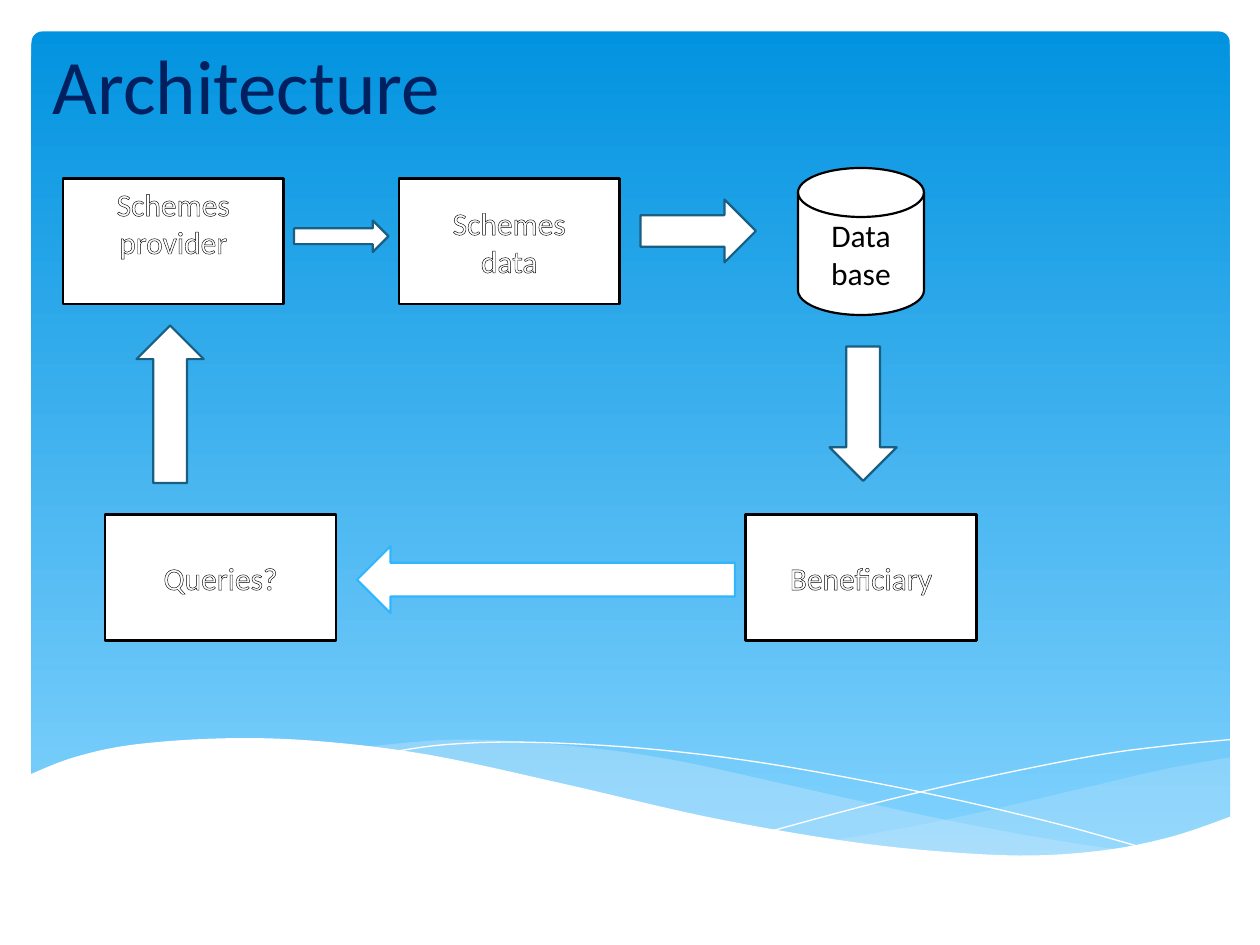
from lxml import etree
from pptx import Presentation
from pptx.dml.color import RGBColor
from pptx.enum.shapes import MSO_SHAPE
from pptx.enum.text import MSO_ANCHOR, PP_ALIGN
from pptx.oxml.ns import qn
from pptx.util import Inches, Pt

RECT, DISK = MSO_SHAPE.RECTANGLE, MSO_SHAPE.FLOWCHART_MAGNETIC_DISK
PANEL = MSO_SHAPE.ROUNDED_RECTANGLE
RIGHT, LEFT = MSO_SHAPE.RIGHT_ARROW, MSO_SHAPE.LEFT_ARROW
UP, DOWN = MSO_SHAPE.UP_ARROW, MSO_SHAPE.DOWN_ARROW
MIDDLE, BOTTOM = MSO_ANCHOR.MIDDLE, MSO_ANCHOR.BOTTOM
CENTER = PP_ALIGN.CENTER

WHITE = RGBColor(0xFF, 0xFF, 0xFF)
BLACK = RGBColor(0, 0, 0)
NAVY = RGBColor(0x00, 0x20, 0x60)
SKY_TOP = RGBColor(0x02, 0x93, 0xE0)
SKY_BOTTOM = RGBColor(0x83, 0xD3, 0xFE)
MIST = RGBColor(0xC6, 0xE7, 0xFC)
TEAL = RGBColor(0x19, 0x5F, 0x84)
AQUA = RGBColor(0x31, 0xB6, 0xFD)

WIDTH, HEIGHT = 10, 7.5
CELL = 1 / 12  # the diagram grid: twelve cells to the inch

# Key points of the wave edges, in inches from the backdrop's corner
WHITE_EDGE = [(0.23, 6.15), (0.59, 6.01), (1.06, 5.91), (1.77, 5.86), (2.5, 5.88),
              (3.4, 5.99), (4.47, 6.22), (5.55, 6.47), (6.48, 6.64), (7.26, 6.74),
              (8.09, 6.79), (8.75, 6.75), (9.3, 6.64), (9.77, 6.48)]
RIGHT_TOP = [(6.62, 6.67), (7.54, 6.5), (8.62, 6.25), (9.22, 6.11), (9.77, 6.01)]
RIGHT_BOTTOM = [(9.77, 6.49), (9.29, 6.65), (8.82, 6.75), (8.15, 6.8), (7.46, 6.77),
                (6.62, 6.67)]
MIDDLE_TOP = [(2.87, 5.93), (3.62, 5.87), (4.42, 5.91), (5.28, 6.02), (6.3, 6.24),
              (7.42, 6.49), (8.38, 6.67), (8.94, 6.75)]
MIDDLE_BOTTOM = [(8.94, 6.75), (8.08, 6.8), (7.23, 6.76), (6.19, 6.6), (5.3, 6.42),
                 (4.5, 6.24), (3.63, 6.04), (2.87, 5.93)]
FALLING_LINE = [(3.1, 5.97), (3.53, 5.91), (4.17, 5.89), (5.11, 5.94), (6.09, 6.06),
                (7.28, 6.28), (8.32, 6.52), (9.08, 6.73)]
RISING_LINE = [(6.14, 6.59), (6.96, 6.37), (7.77, 6.18), (8.67, 6), (9.25, 5.92),
               (9.76, 5.87)]


def smooth_curve(keys, steps=6):
    """Points of a Catmull-Rom curve through the key points."""
    padded = [keys[0], *keys, keys[-1]]
    points = []
    for a, b, c, d in zip(padded, padded[1:], padded[2:], padded[3:]):
        for t in (step / steps for step in range(steps)):
            points.append(tuple(
                q + t / 2 * (r - p + t * (2 * p - 5 * q + 4 * r - s
                                          + t * (3 * (q - r) + s - p)))
                for p, q, r, s in zip(a, b, c, d)))
    return points + [keys[-1]]


def set_alpha(shape, percent):
    color = shape.fill._xPr.find(qn("a:solidFill"))[0]
    etree.SubElement(color, qn("a:alpha"), val=str(percent * 1000))


def add_outline(font, color, width):
    line = etree.Element(qn("a:ln"), w=str(Pt(width)))
    fill = etree.SubElement(line, qn("a:solidFill"))
    etree.SubElement(fill, qn("a:srgbClr"), val=str(color))
    font._element.insert(0, line)


def write_text(shape, text, size=18, color=WHITE, outline=None, anchor=MIDDLE,
               bottom=0.05):
    frame = shape.text_frame
    frame.word_wrap = True
    frame.vertical_anchor = anchor
    frame.margin_bottom = Inches(bottom)
    for index, words in enumerate(text.split("\n")):
        para = frame.add_paragraph() if index else frame.paragraphs[0]
        para.alignment = CENTER
        span = para.add_run()
        span.text = words
        span.font.size = Pt(size)
        span.font.name = "Calibri"
        span.font.color.rgb = color
        if outline is not None:
            add_outline(span.font, outline, 0.75)


def add_curve(page, box, points, fill=None, alpha=None):
    """A filled wave, or a white hairline when no fill is given."""
    left, top = box[:2]
    places = [(Inches(left + x), Inches(top + y)) for x, y in points]
    builder = page.shapes.build_freeform(*places[0], scale=1.0)
    builder.add_line_segments(places[1:], close=fill is not None)
    shape = builder.convert_to_shape()
    shape.shadow.inherit = False
    if fill is None:
        shape.fill.background()
        shape.line.color.rgb = WHITE
        shape.line.width = Pt(0)
        return
    shape.fill.solid()
    shape.fill.fore_color.rgb = fill
    shape.line.fill.background()
    if alpha:
        set_alpha(shape, alpha)


def draw_backdrop(page, box):
    left, top, width, height = box
    # Gradient panel
    panel = page.shapes.add_shape(PANEL, *map(Inches, (
        left + width * 0.025, top + height / 30, width * 0.951, height * 0.88)))
    panel.adjustments[0] = 0.013
    panel.shadow.inherit = False
    panel.line.fill.background()
    panel.fill.gradient()
    panel.fill.gradient_angle = 270
    for stop, color, position in zip(panel.fill.gradient_stops,
                                     (SKY_TOP, SKY_BOTTOM), (0, 1)):
        stop.color.rgb = color
        stop.position = position
    # Translucent waves, hairlines, then the white wave in front
    add_curve(page, box, smooth_curve(RIGHT_TOP) + smooth_curve(RIGHT_BOTTOM), MIST, 29)
    add_curve(page, box, smooth_curve(MIDDLE_TOP) + smooth_curve(MIDDLE_BOTTOM), MIST, 40)
    for keys in (FALLING_LINE, RISING_LINE):
        add_curve(page, box, smooth_curve(keys))
    add_curve(page, box, smooth_curve(WHITE_EDGE) + [(9.77, 7.31), (0.23, 7.31)], WHITE)


def grid_box(box, cells):
    """Turn column, row, width and height in cells into lengths."""
    column, row, width, height = (n * CELL for n in cells)
    return [Inches(n) for n in (box[0] + column, box[1] + row, width, height)]


def draw_title(page, box):
    title = page.shapes.add_textbox(*grid_box(box, (0, 2, 47, 11)))
    write_text(title, "Architecture", size=44, color=NAVY, anchor=BOTTOM)


def draw_diagram(page, box):
    def add_part(kind, cells, line):
        shape = page.shapes.add_shape(kind, *grid_box(box, cells))
        shape.shadow.inherit = False
        shape.fill.solid()
        shape.fill.fore_color.rgb = WHITE
        shape.line.color.rgb = line
        shape.line.width = Pt(1.25)
        return shape

    # Stages
    outlined = {"outline": BLACK}
    for kind, cells, text, style in (
        (RECT, (6, 17, 21, 12), "Schemes\nprovider", {"bottom": 0.35, **outlined}),
        (RECT, (38, 17, 21, 12), "Schemes\ndata", outlined),
        (DISK, (76, 16, 12, 14), "Data\nbase", {"color": BLACK}),
        (RECT, (71, 49, 22, 12), "Beneficiary", outlined),
        (RECT, (10, 49, 22, 12), "Queries?", outlined),
    ):
        write_text(add_part(kind, cells, BLACK), text, **style)

    # Block arrows, clockwise
    for kind, cells, line in (
        (RIGHT, (28, 21, 9, 3), TEAL),
        (RIGHT, (61, 19, 11, 6), TEAL),
        (DOWN, (79, 33, 6.4, 12.8), TEAL),
        (LEFT, (34, 52, 36, 6.4), AQUA),
        (UP, (13, 31, 6.4, 15), TEAL),
    ):
        add_part(kind, cells, line)


def main():
    deck = Presentation()
    deck.slide_width, deck.slide_height = Inches(WIDTH), Inches(HEIGHT)
    page = deck.slides.add_slide(deck.slide_layouts[6])
    whole = (0, 0, WIDTH, HEIGHT)
    draw_backdrop(page, whole)
    draw_title(page, whole)
    draw_diagram(page, whole)
    deck.save("out.pptx")


if __name__ == "__main__":
    main()
